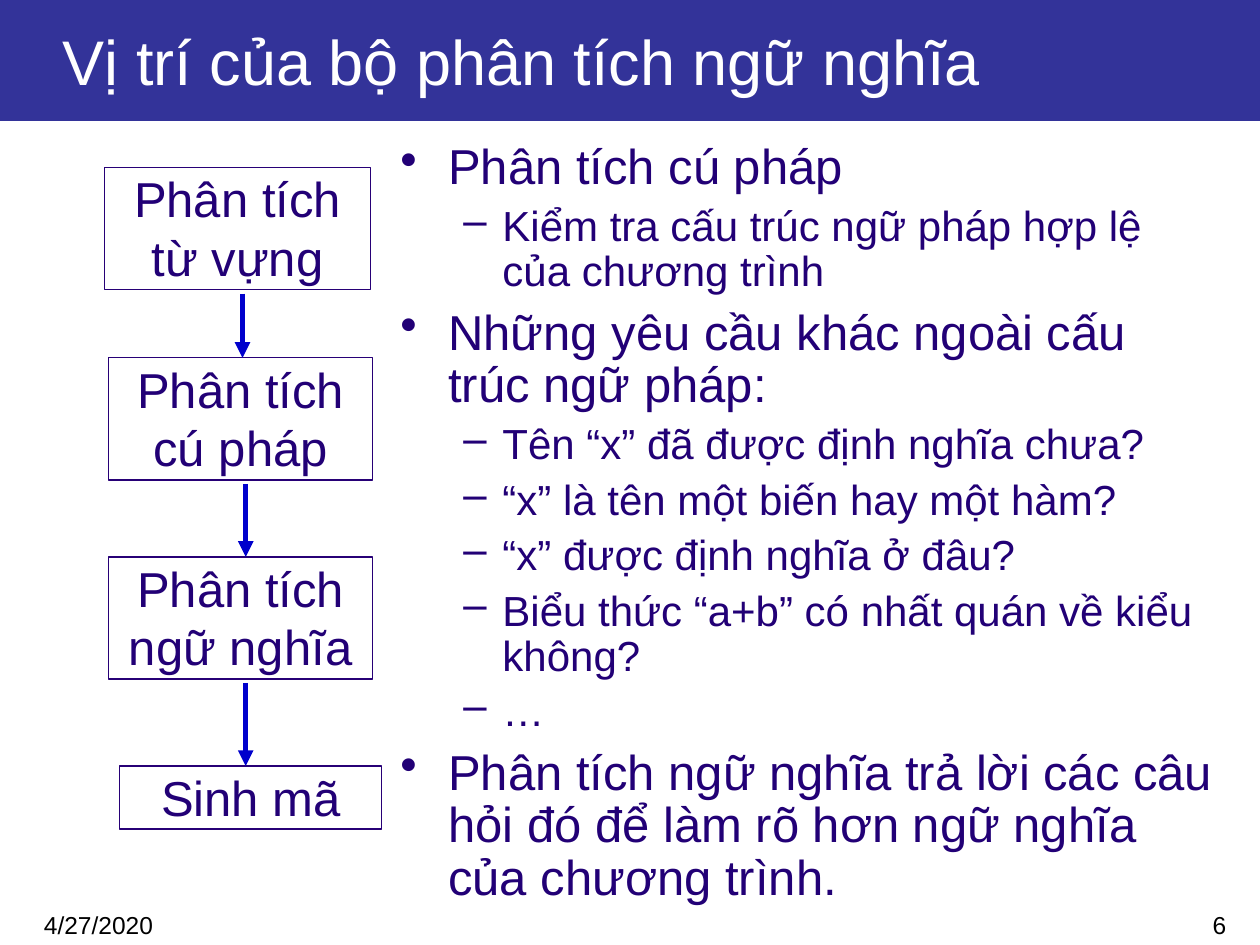
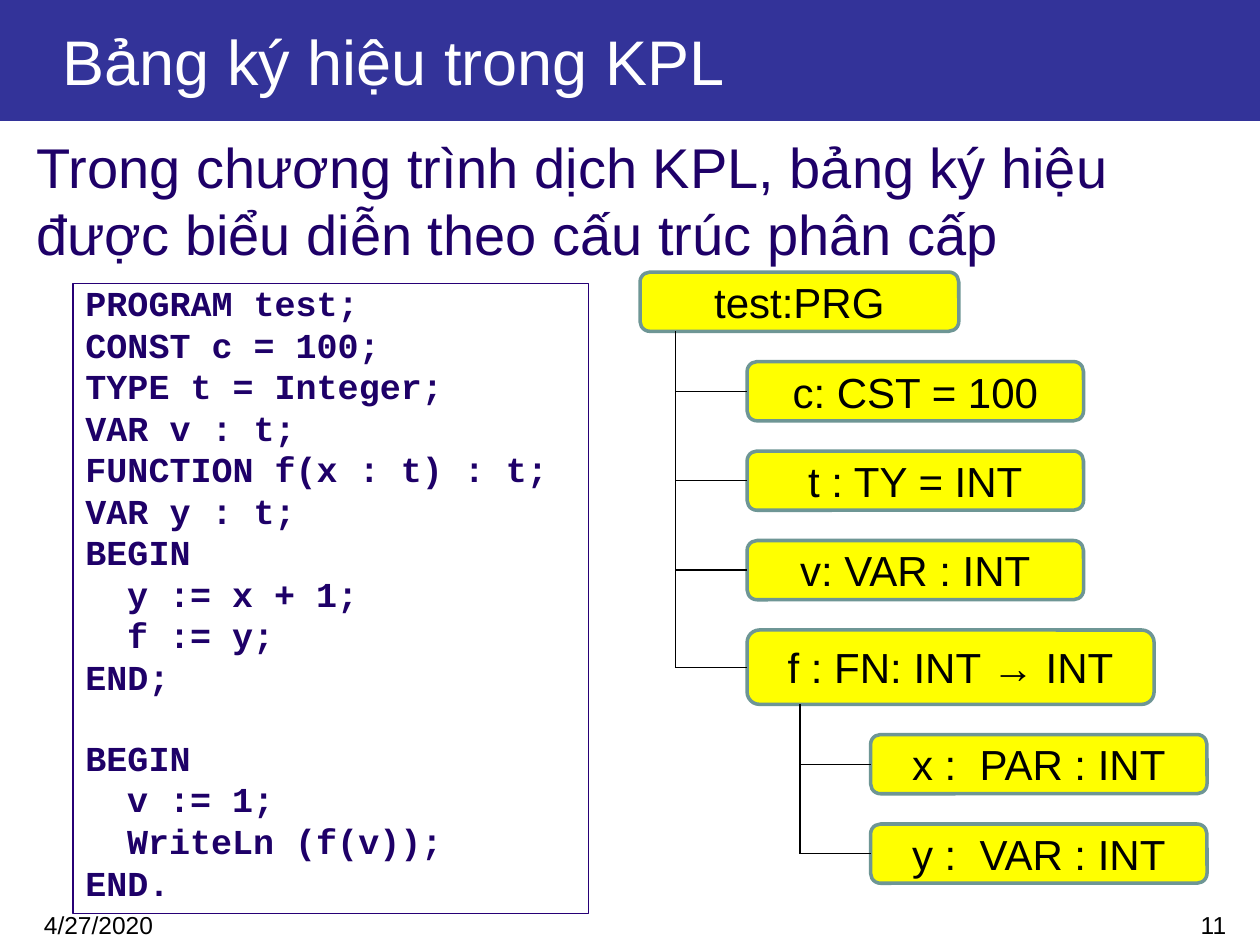
"""Builds two lecture slides on semantic analysis and the KPL symbol table."""
from dataclasses import dataclass
from typing import Optional

from lxml import etree
from pptx import Presentation
from pptx.dml.color import RGBColor
from pptx.enum.shapes import MSO_CONNECTOR, MSO_SHAPE
from pptx.enum.text import MSO_ANCHOR, PP_ALIGN
from pptx.oxml.ns import qn
from pptx.util import Inches, Pt

RECT, ROUNDED = MSO_SHAPE.RECTANGLE, MSO_SHAPE.ROUNDED_RECTANGLE
STRAIGHT = MSO_CONNECTOR.STRAIGHT
LEFT, CENTER, RIGHT = PP_ALIGN.LEFT, PP_ALIGN.CENTER, PP_ALIGN.RIGHT
TOP, MIDDLE = MSO_ANCHOR.TOP, MSO_ANCHOR.MIDDLE

BAND, WHITE, BLACK = "333399", "FFFFFF", "000000"
INK, DARK_INK, BORDER = "220076", "1E0068", "270076"
ARROW, NODE_FILL, NODE_LINE = "0000CC", "FFFF00", "6E9695"
DATE = "4/27/2020"
SPACE_RATIO = 0.24
NODE_HEIGHT, NODE_GAP = 0.47, 0.24


@dataclass(frozen=True)
class Box:
    """Position and size in inches."""
    left: float
    top: float
    width: float
    height: float

    @property
    def bottom(self) -> float:
        return self.top + self.height

    @property
    def center(self) -> float:
        return self.left + self.width / 2

    @property
    def middle(self) -> float:
        return self.top + self.height / 2

    def lengths(self) -> list:
        return [Inches(v) for v in (self.left, self.top, self.width, self.height)]


@dataclass(frozen=True)
class Style:
    """Look of a text block."""
    size: float
    color: str
    font: str = "Arial"
    bold: bool = False
    align: PP_ALIGN = LEFT
    anchor: MSO_ANCHOR = TOP
    insets: tuple = (0.1, 0.05, 0.1, 0.05)


@dataclass(frozen=True)
class Bullet:
    """Marker and indents of one outline level."""
    mark: str
    margin: float
    hanging: float
    size: float


@dataclass(frozen=True)
class Stage:
    """One compiler phase."""
    label: str
    box: Box


@dataclass(frozen=True)
class Symbol:
    """One symbol table entry and the entries in its scope."""
    label: str
    left: float
    width: float
    height: float = NODE_HEIGHT
    trunk: float = 0
    children: tuple = ()


TITLE = Style(36, WHITE, anchor=MIDDLE, insets=(0.5, 0.05, 0.1, 0.05))
DATE_STYLE = Style(14, BLACK)
NUMBER_STYLE = Style(14, BLACK, align=RIGHT)
OUTLINE = Style(28, INK)
INTRO = Style(32, DARK_INK)
STAGE_STYLE = Style(28, INK, align=CENTER, insets=(0.1, 0.01, 0.1, 0.01))
CODE = Style(20, DARK_INK, "Courier New", True)
NODE = Style(24, BLACK, align=CENTER, anchor=MIDDLE)

LEVELS = (Bullet("•", 0.38, 0.38, 28), Bullet("–", 0.81, 0.31, 24))
REQUIREMENTS = (
    (0, "Phân tích cú pháp"),
    (1, "Kiểm tra cấu trúc ngữ pháp hợp lệ của chương trình"),
    (0, "Những yêu cầu khác ngoài cấu trúc ngữ pháp:"),
    (1, "Tên “x” đã được định nghĩa chưa?"),
    (1, "“x” là tên một biến hay một hàm?"),
    (1, "“x” được định nghĩa ở đâu?"),
    (1, "Biểu thức “a+b” có nhất quán về kiểu không?"),
    (1, "…"),
    (0, "Phân tích ngữ nghĩa trả lời các câu hỏi đó để làm rõ hơn ngữ nghĩa của chương trình."),
)
STAGES = (
    Stage("Phân tích từ vựng", Box(0.83, 1.33, 2.11, 0.97)),
    Stage("Phân tích cú pháp", Box(0.86, 2.84, 2.1, 0.97)),
    Stage("Phân tích ngữ nghĩa", Box(0.86, 4.42, 2.1, 0.97)),
    Stage("Sinh mã", Box(0.95, 6.08, 2.08, 0.5)),
)
DECLARATIONS = (
    (0, "PROGRAM test;"), (0, "CONST c = 100;"), (0, "TYPE t = Integer;"),
    (0, "VAR v : t;"), (0, "FUNCTION f(x : t) : t;"), (0, "VAR y : t;"),
    (0, "BEGIN"), (1, "y := x + 1;"), (1, "f := y;"), (0, "END;"),
)
MAIN_BODY = ((0, "BEGIN"), (1, "v := 1;"), (1, "WriteLn (f(v));"), (0, "END."))
SYMBOLS = Symbol("test:PRG", 5.08, 2.53, trunk=0.28, children=(
    Symbol("c: CST = 100", 5.93, 2.67),
    Symbol("t : TY = INT", 5.93, 2.67),
    Symbol("v: VAR : INT", 5.93, 2.67),
    Symbol("f : FN: INT → INT", 5.93, 3.23, 0.59, 0.42, (
        Symbol("x :  PAR : INT", 6.91, 2.67),
        Symbol("y :  VAR : INT", 6.91, 2.67),
    )),
))


def rgb(color: str) -> RGBColor:
    """Turn a hex string into a colour."""
    return RGBColor.from_string(color)


def format_runs(paragraph, style: Style, size: Optional[float] = None) -> None:
    """Apply a style to a paragraph and its runs."""
    paragraph.alignment = style.align
    for run in paragraph.runs:
        run.font.name = style.font
        run.font.size = Pt(size or style.size)
        run.font.bold = style.bold
        run.font.color.rgb = rgb(style.color)


def write(shape, lines: list, style: Style) -> list:
    """Fill a shape with styled paragraphs and return them."""
    frame = shape.text_frame
    frame.word_wrap = True
    frame.vertical_anchor = style.anchor
    (frame.margin_left, frame.margin_top,
     frame.margin_right, frame.margin_bottom) = map(Inches, style.insets)
    frame.text = "\n".join(lines)
    for paragraph in frame.paragraphs:
        format_runs(paragraph, style)
    return list(frame.paragraphs)


def add_text(slide, box: Box, lines: list, style: Style) -> list:
    """Add a plain text box."""
    return write(slide.shapes.add_textbox(*box.lengths()), lines, style)


def add_panel(slide, box: Box, lines: list, style: Style, fill: str = "",
              line: str = "", weight: float = 0.75, form: MSO_SHAPE = RECT) -> list:
    """Add a shape with text and optional fill and border."""
    panel = slide.shapes.add_shape(form, *box.lengths())
    panel.shadow.inherit = False
    if fill:
        panel.fill.solid()
        panel.fill.fore_color.rgb = rgb(fill)
    else:
        panel.fill.background()
    if line:
        panel.line.color.rgb = rgb(line)
        panel.line.width = Pt(weight)
    else:
        panel.line.fill.background()
    return write(panel, lines, style)


def add_line(slide, start: tuple, end: tuple, color: str = BLACK,
             weight: float = 0.75, arrow: bool = False) -> None:
    """Connect two points, with an arrowhead at the end if asked."""
    link = slide.shapes.add_connector(STRAIGHT, *map(Inches, start + end))
    link.line.color.rgb = rgb(color)
    link.line.width = Pt(weight)
    properties = link._element.spPr
    if arrow:
        etree.SubElement(properties.find(qn("a:ln")), qn("a:tailEnd"), type="triangle")
    etree.SubElement(properties, qn("a:effectLst"))


def indent(paragraph, margin: float, hanging: float = 0, mark: str = "") -> None:
    """Set the left margin, hanging indent and bullet of a paragraph."""
    properties = paragraph._p.get_or_add_pPr()
    properties.set("marL", str(Inches(margin)))
    properties.set("indent", str(-Inches(hanging)))
    if mark:
        etree.SubElement(properties, qn("a:buChar"), char=mark)


def add_base_slide(deck, title: str, number: int):
    """Add a slide with title band, date and slide number."""
    slide = deck.slides.add_slide(deck.slide_layouts[6])
    add_text(slide, Box(0.25, 7.17, 1.92, 0.33), [DATE], DATE_STYLE)
    add_text(slide, Box(7.75, 7.17, 2.08, 0.24), [str(number)], NUMBER_STYLE)
    add_panel(slide, Box(0, 0, 10, 0.96), [title], TITLE, fill=BAND)
    return slide


def add_requirements(slide) -> None:
    """Add the two-level outline."""
    paragraphs = add_text(slide, Box(3.08, 1.08, 6.67, 6.17),
                          [text for _, text in REQUIREMENTS], OUTLINE)
    for index, (paragraph, (level, _)) in enumerate(zip(paragraphs, REQUIREMENTS)):
        bullet = LEVELS[level]
        format_runs(paragraph, OUTLINE, bullet.size)
        paragraph.level = level
        paragraph.line_spacing = 0.9
        paragraph.space_before = Pt(bullet.size * SPACE_RATIO if index else 0)
        indent(paragraph, bullet.margin, bullet.hanging, bullet.mark)


def add_pipeline(slide) -> None:
    """Add the compiler phases joined by arrows."""
    for stage in STAGES:
        add_panel(slide, stage.box, [stage.label], STAGE_STYLE, line=BORDER)
    for stage, following in zip(STAGES, STAGES[1:]):
        x = stage.box.center + 0.04
        add_line(slide, (x, stage.box.bottom + 0.03), (x, following.box.top),
                 ARROW, 3, arrow=True)


def add_program(slide) -> None:
    """Add the sample program, its main body set apart."""
    code = DECLARATIONS + MAIN_BODY
    paragraphs = add_panel(slide, Box(0.58, 2.25, 4.09, 5),
                           [text for _, text in code], CODE, line=BORDER)
    for index, (paragraph, (depth, _)) in enumerate(zip(paragraphs, code)):
        starts_body = index == len(DECLARATIONS)
        paragraph.line_spacing = 0.8
        paragraph.space_before = Pt(27.2 if starts_body else 4.5 if index else 0)
        indent(paragraph, depth * 0.33)


def add_symbol(slide, symbol: Symbol, top: float) -> tuple[Box, float]:
    """Draw an entry with its scope; return its box and the next free top."""
    box = Box(symbol.left, top, symbol.width, symbol.height)
    add_panel(slide, box, [symbol.label], NODE, NODE_FILL, NODE_LINE, 2, ROUNDED)
    next_top = box.bottom + NODE_GAP
    trunk = box.left + symbol.trunk
    branch = box.bottom
    for child in symbol.children:
        child_box, next_top = add_symbol(slide, child, next_top)
        branch = child_box.middle
        add_line(slide, (trunk, branch), (child_box.left, branch))
    if symbol.children:
        add_line(slide, (trunk, box.bottom), (trunk, branch))
    return box, next_top


def main() -> None:
    """Build and save the deck."""
    deck = Presentation()
    deck.slide_width, deck.slide_height = Inches(10), Inches(7.5)

    position = add_base_slide(deck, "Vị trí của bộ phân tích ngữ nghĩa", 6)
    add_requirements(position)
    add_pipeline(position)

    table = add_base_slide(deck, "Bảng ký hiệu trong KPL", 11)
    add_text(table, Box(0.19, 1, 9.64, 1.23),
             ["Trong chương trình dịch KPL, bảng ký hiệu được biểu diễn theo cấu trúc phân cấp"],
             INTRO)
    add_program(table)
    add_symbol(table, SYMBOLS, 2.16)

    deck.save("out.pptx")


if __name__ == "__main__":
    main()
